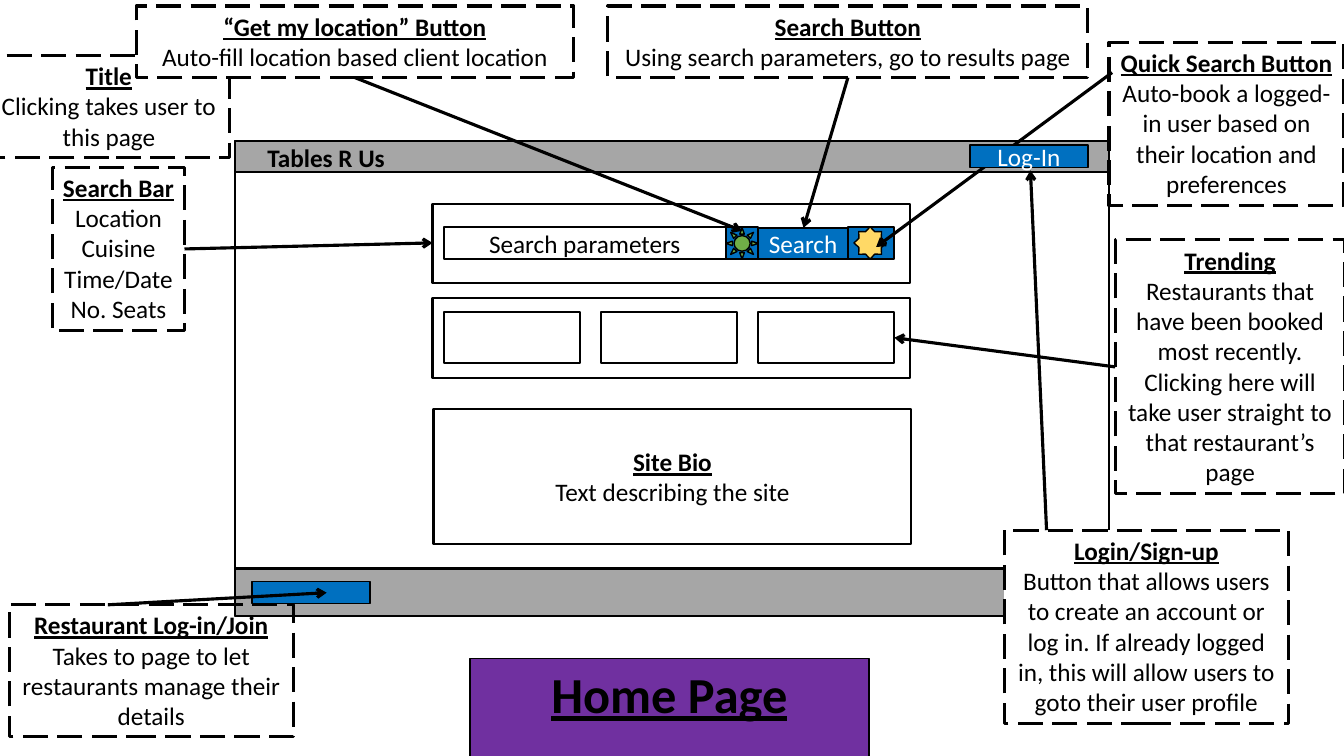
from lxml import etree
from pptx import Presentation
from pptx.dml.color import RGBColor
from pptx.enum.dml import MSO_LINE
from pptx.enum.shapes import MSO_CONNECTOR, MSO_SHAPE as SHAPE
from pptx.enum.text import MSO_ANCHOR as ANCHOR, MSO_AUTO_SIZE as AUTO_SIZE, PP_ALIGN
from pptx.oxml.ns import qn
from pptx.util import Inches, Pt

COLORS = {
    "black": "000000", "white": "FFFFFF", "gray": "A6A6A6", "blue": "0070C0",
    "green": "70AD47", "yellow": "FFD966", "purple": "7030A0",
}
HEADING = {"bold": True, "underline": True}
PLAIN = {"bold": False, "underline": False}


class WireframeSlide:
    font = "Calibri"
    text_size = 18

    def __init__(self, presentation):
        self.slide = presentation.slides.add_slide(presentation.slide_layouts[5])
        self.shapes = self.slide.shapes

    def color(self, name):
        return RGBColor.from_string(COLORS[name])

    def place(self, shape, bounds):
        for name, value in zip(("left", "top", "width", "height"), bounds):
            setattr(shape, name, Inches(value))

    def paint(self, shape, fill, weight):
        if fill:
            shape.fill.solid()
            shape.fill.fore_color.rgb = self.color(fill)
        else:
            shape.fill.background()
        shape.line.color.rgb = self.color("black")
        shape.line.width = Pt(weight)

    def set_text(self, shape, lines, color="black", size=text_size, **frame_format):
        """Fill a shape with centred (text, font format) lines."""
        frame = shape.text_frame
        settings = {"word_wrap": True, "vertical_anchor": ANCHOR.MIDDLE} | frame_format
        for name, value in settings.items():
            setattr(frame, name, value)
        for index, (text, font_format) in enumerate(lines):
            paragraph = frame.add_paragraph() if index else frame.paragraphs[0]
            paragraph.alignment = PP_ALIGN.CENTER
            run = paragraph.add_run()
            run.text = text
            run.font.color.rgb = self.color(color)
            values = {"name": self.font, "size": Pt(size)} | font_format
            for name, value in values.items():
                setattr(run.font, name, value)

    def title(self, text, bounds):
        title = self.shapes.title
        self.place(title, bounds)
        self.paint(title, "purple", 1)
        self.set_text(title, [(text, HEADING)], size=36,
                      vertical_anchor=ANCHOR.TOP, auto_size=AUTO_SIZE.SHAPE_TO_FIT_TEXT)

    def box(self, bounds, fill="white", weight=1.5, kind=SHAPE.RECTANGLE,
            lines=(), color="black"):
        shape = self.shapes.add_shape(kind, *map(Inches, bounds))
        shape.shadow.inherit = False
        self.paint(shape, fill, weight)
        if lines:
            self.set_text(shape, lines, color)
        return shape

    def label(self, text, bounds):
        label = self.shapes.add_textbox(*map(Inches, bounds))
        self.set_text(label, [(text, {"bold": True})])

    def callout(self, bounds, heading, *body, fill=None, wrap=True):
        shape = self.box(bounds, fill, 2.25)
        shape.line.dash_style = MSO_LINE.LONG_DASH
        lines = [(heading, HEADING)] + [(text, PLAIN) for text in body]
        self.set_text(shape, lines, word_wrap=wrap, vertical_anchor=ANCHOR.TOP,
                      auto_size=AUTO_SIZE.SHAPE_TO_FIT_TEXT)

    def arrow(self, *ends):
        connector = self.shapes.add_connector(MSO_CONNECTOR.STRAIGHT, *map(Inches, ends))
        connector.line.color.rgb = self.color("black")
        connector.line.width = Pt(2.25)
        properties = connector._element.spPr
        etree.SubElement(properties.find(qn("a:ln")), qn("a:tailEnd"), type="arrow")
        etree.SubElement(properties, qn("a:effectLst"))


def main():
    presentation = Presentation()
    presentation.slide_width = Inches(13.33)
    presentation.slide_height = Inches(7.5)
    page = WireframeSlide(presentation)
    page.title("Home Page", (4.66, 6.53, 3.96, 0.71))

    # Page frame with footer and header bars
    page.box((2.33, 1.4, 8.67, 4.71))
    for top, height in ((5.64, 0.47), (1.4, 0.31)):
        page.box((2.33, top, 8.67, height), "gray")
    page.label("Tables R Us", (2.47, 1.45, 1.53, 0.22))

    # Search panel
    page.box((4.29, 2.02, 4.74, 0.79))
    page.box((4.4, 2.25, 2.8, 0.32), lines=[("Search parameters", PLAIN)])
    page.box((7.2, 2.25, 0.32, 0.32), "blue")
    page.box((7.52, 2.26, 0.89, 0.31), "blue", lines=[("Search", PLAIN)], color="white")
    page.box((7.2, 2.26, 0.32, 0.31), "green", 1, SHAPE.SUN)
    page.box((8.41, 2.25, 0.46, 0.32), "blue")
    page.box((8.47, 2.25, 0.32, 0.32), "yellow", 1, SHAPE.STAR_8_POINT)

    # Trending panel with three equal cards
    page.box((4.29, 2.96, 4.74, 0.79))
    for card in range(3):
        page.box((4.4 + card * 1.56, 3.1, 1.35, 0.5))

    # Site bio and restaurant button
    page.box((4.3, 4.06, 4.74, 1.34),
             lines=[("Site Bio", HEADING), ("Text describing the site", PLAIN)])
    page.box((2.5, 5.77, 1.17, 0.22), "blue", 1)

    # Dashed explanations around the page
    page.callout((-0.12, 0.55, 2.4, 1.01), "Title", "Clicking takes user to this page")
    page.callout((1.35, 0.06, 4.34, 0.71), "“Get my location” Button",
                 "Auto-fill location based client location", fill="white")
    page.callout((6.03, 0.06, 4.76, 0.71), "Search Button",
                 "Using search parameters, go to results page")
    page.callout((11, 0.42, 2.33, 1.62), "Quick Search Button",
                 "Auto-book a logged-in user based on their location and preferences")
    page.callout((0.52, 1.66, 1.31, 1.62), "Search Bar", "Location", "Cuisine",
                 "Time/Date", "No. Seats", wrap=False)
    page.callout((11.06, 2.38, 2.28, 2.52), "Trending",
                 "Restaurants that have been booked most recently. Clicking here "
                 "will take user straight to that restaurant’s page")
    page.callout((9.96, 5.26, 2.82, 1.92), "Login/Sign-up",
                 "Button that allows users to create an account or log in. If already "
                 "logged in, this will allow users to goto their user profile", fill="white")
    page.callout((0.09, 6, 2.82, 1.31), "Restaurant Log-in/Join",
                 "Takes to page to let restaurants manage their details")

    # Arrows from each explanation to its element
    for ends in (
        (1.83, 2.47, 4.29, 2.41),    # search bar
        (3.52, 0.77, 7.36, 2.29),    # get my location
        (8.41, 0.77, 7.97, 2.26),    # search button
        (11.06, 3.64, 8.87, 3.35),   # trending
        (11.03, 0.72, 8.69, 2.45),   # quick search
        (10.38, 5.26, 10.22, 1.69),  # login
        (1.07, 6, 3.24, 5.88),       # restaurant log-in
    ):
        page.arrow(*ends)

    # Log-in button lies above the quick search arrow
    page.box((9.62, 1.44, 1.17, 0.22), "blue", 1, lines=[("Log-In", PLAIN)], color="white")

    presentation.save("out.pptx")


if __name__ == "__main__":
    main()
